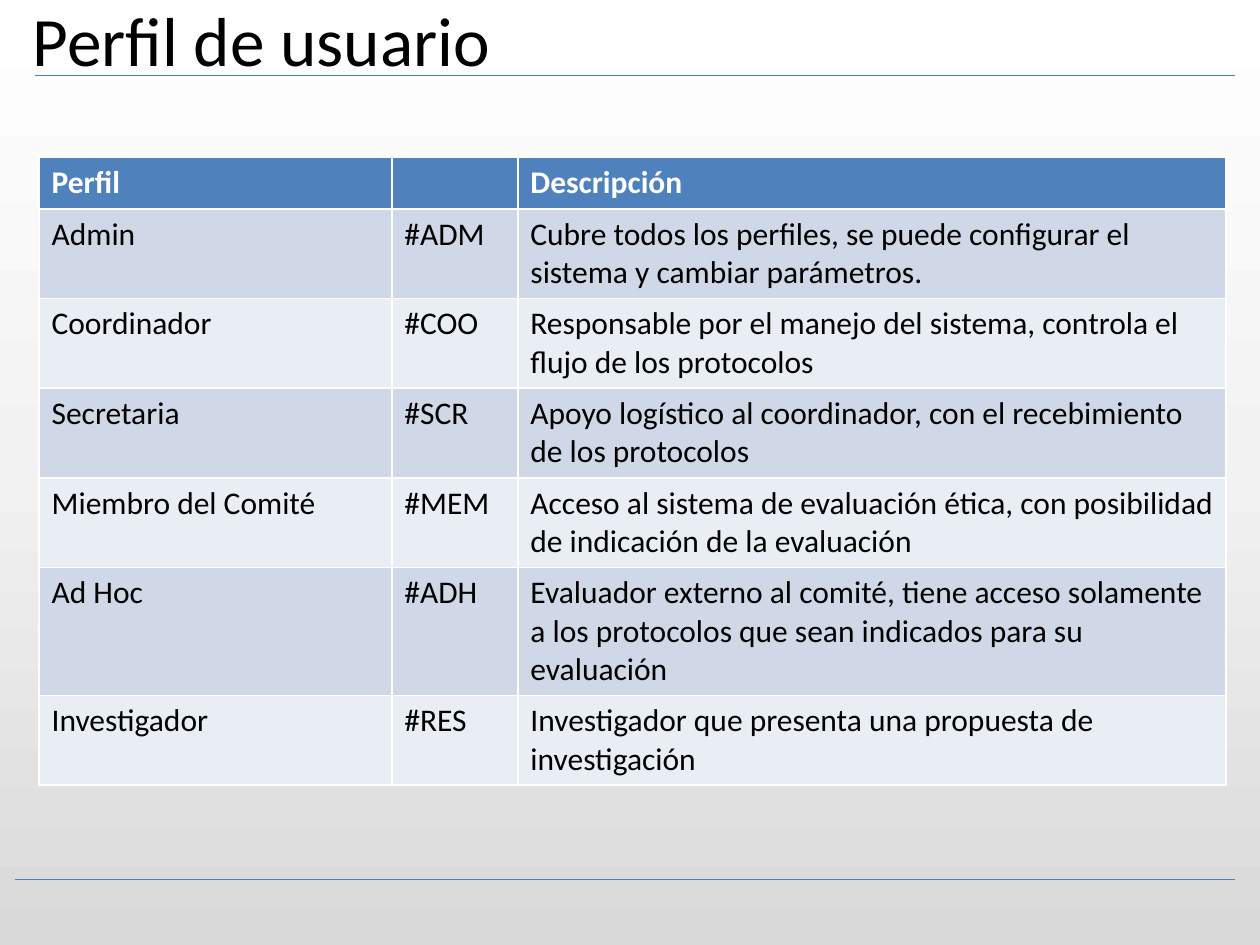
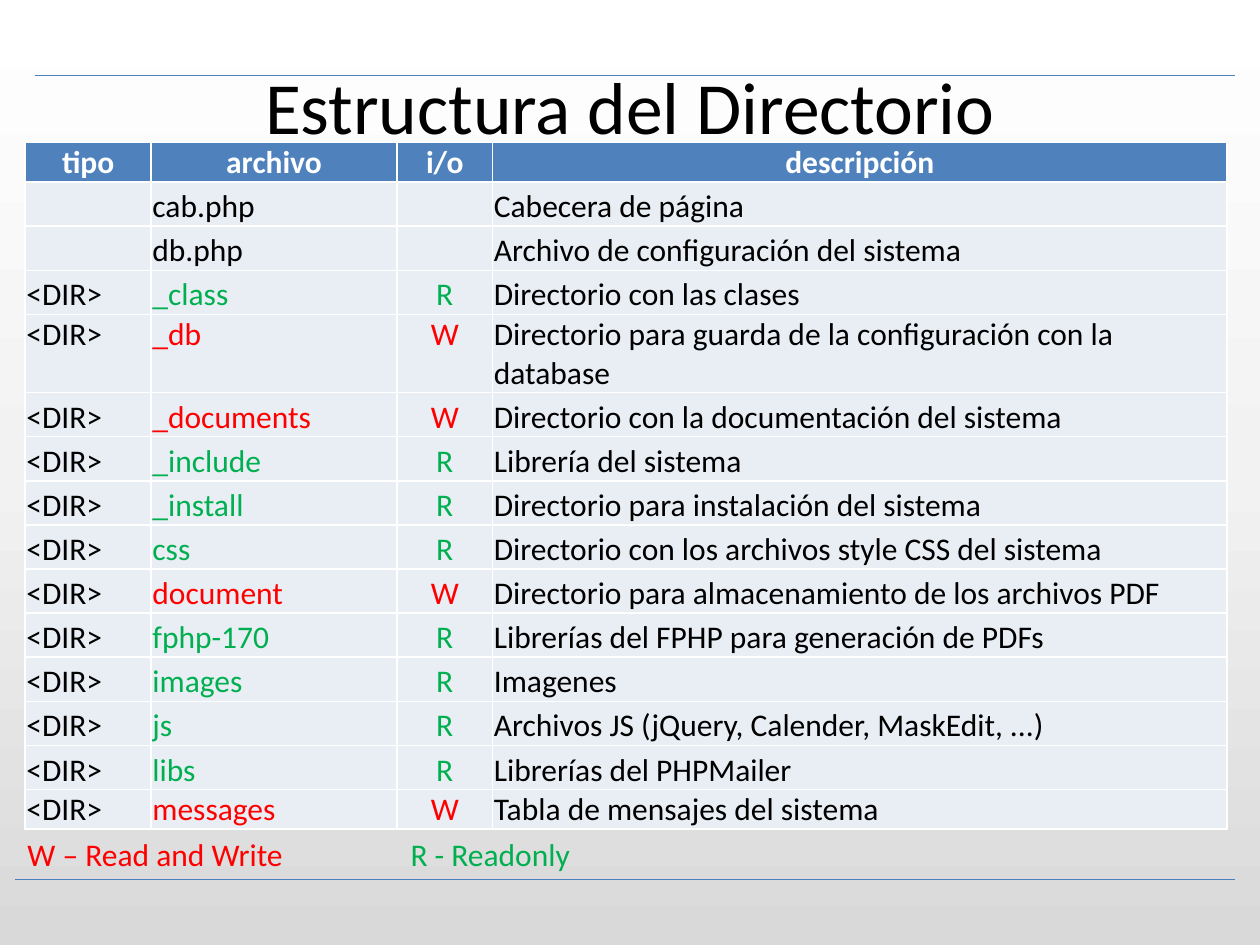
from copy import deepcopy

from lxml import etree
from pptx import Presentation
from pptx.dml.color import RGBColor
from pptx.enum.shapes import MSO_CONNECTOR
from pptx.enum.text import MSO_ANCHOR, MSO_AUTO_SIZE, PP_ALIGN
from pptx.oxml.ns import qn
from pptx.util import Inches, Pt

STRAIGHT = MSO_CONNECTOR.STRAIGHT
TOP, MIDDLE, BOTTOM = MSO_ANCHOR.TOP, MSO_ANCHOR.MIDDLE, MSO_ANCHOR.BOTTOM
LEFT, CENTER = PP_ALIGN.LEFT, PP_ALIGN.CENTER
NO_FIT, GROW = MSO_AUTO_SIZE.NONE, MSO_AUTO_SIZE.SHAPE_TO_FIT_TEXT

WIDTH, HEIGHT = Inches(10), Inches(7.5)
UNIT = WIDTH / 100
FONT = "Calibri"
BODY = 18
COLORS = {
    "text": "000000", "white": "FFFFFF", "head": "4F81BD",
    "band": "D0D8E8", "pale": "E9EDF4", "rule": "4B7EBC",
    "read": "00B050", "write": "FF0000",
}
SHADES = [(0, "FFFFFF"), (0.5, "F2F2F2"), (1, "D9D9D9")]
RULES = [(98, 2.8, 6), (1.2, 98, 69.8)]

ROLES = [
    ("Perfil", "", "Descripción"),
    ("Admin", "#ADM", "Cubre todos los perfiles, se puede configurar el sistema y cambiar parámetros."),
    ("Coordinador", "#COO", "Responsable por el manejo del sistema, controla el flujo de los protocolos"),
    ("Secretaria", "#SCR", "Apoyo logístico al coordinador, con el recebimiento de los protocolos"),
    ("Miembro del Comité", "#MEM", "Acceso al sistema de evaluación ética, con posibilidad de indicación de la evaluación"),
    ("Ad Hoc", "#ADH", "Evaluador externo al comité, tiene acceso solamente a los protocolos que sean indicados para su evaluación"),
    ("Investigador", "#RES", "Investigador que presenta una propuesta de investigación"),
]
HEADS = ("tipo", "archivo", "i/o", "descripción")
FILES = [
    ("cab.php", "", "Cabecera de página"),
    ("db.php", "", "Archivo de configuración del sistema"),
    ("_class", "R", "Directorio con las clases"),
    ("_db", "W", "Directorio para guarda de la configuración con la database"),
    ("_documents", "W", "Directorio con la documentación del sistema"),
    ("_include", "R", "Librería del sistema"),
    ("_install", "R", "Directorio para instalación del sistema"),
    ("css", "R", "Directorio con los archivos style CSS del sistema"),
    ("document", "W", "Directorio para almacenamiento de los archivos PDF"),
    ("fphp-170", "R", "Librerías del FPHP para generación de PDFs"),
    ("images", "R", "Imagenes"),
    ("js", "R", "Archivos JS (jQuery, Calender, MaskEdit, ...)"),
    ("libs", "R", "Librerías del PHPMailer"),
    ("messages", "W", "Tabla de mensajes del sistema"),
]
MODES = {"R": "read", "W": "write", "": "text"}
LONG = 55


def grid(*units):
    return [round(unit * UNIT) for unit in units]


def tint(name):
    return RGBColor.from_string(COLORS[name])


def add_run(para, text, color="text", size=BODY, bold=False):
    run = para.add_run()
    run.text = text
    font = run.font
    font.name, font.size, font.bold = FONT, Pt(size), bold
    font.color.rgb = tint(color)


def paint_back(master):
    fill = master.background.fill
    fill.gradient()
    stops = master.element.find(".//" + qn("a:gsLst"))
    stops.insert(1, deepcopy(stops[0]))
    for stop, (place, shade) in zip(fill.gradient_stops, SHADES):
        stop.position = place
        stop.color.rgb = RGBColor.from_string(shade)
    fill.gradient_angle = 270


def add_rules(master, slide):
    for index, (start, end, row) in enumerate(RULES):
        line = slide.shapes.add_connector(STRAIGHT, *grid(start, row, end, row))
        line.line.color.rgb = tint("rule")
        line.line.width = Pt(0.75)
        etree.SubElement(line.element.spPr, qn("a:effectLst"))
        line.element.find(".//" + qn("p:cNvPr")).set("id", str(50 + index))
        master.shapes.element.append(line.element)


def set_title(slide, text, place, size, align):
    title = slide.shapes.title
    title.left, title.top, title.width, title.height = grid(*place)
    frame = title.text_frame
    frame.auto_size = NO_FIT
    frame.vertical_anchor = MIDDLE
    para = frame.paragraphs[0]
    para.alignment = align
    add_run(para, text, size=size)


def fill_cell(cell, text, fill, color="text", bold=False, align=LEFT):
    cell.fill.solid()
    cell.fill.fore_color.rgb = tint(fill)
    para = cell.text_frame.paragraphs[0]
    para.alignment = align
    if text:
        add_run(para, text, color, bold=bold)


def add_grid(slide, place, cols, rows):
    box = grid(*place, sum(cols), sum(rows))
    table = slide.shapes.add_table(len(rows), len(cols), *box).table
    for col, width in zip(table.columns, grid(*cols)):
        col.width = width
    for row, height in zip(table.rows, grid(*rows)):
        row.height = height
    return table


def fill_head(table, heads, align):
    for cell, text in zip(table.rows[0].cells, heads):
        fill_cell(cell, text, "head", "white", True, align)


def add_roles(slide):
    table = add_grid(slide, (3.1, 12.5), (28, 10, 56.2), [4.1] * len(ROLES))
    fill_head(table, ROLES[0], LEFT)
    for index, role in enumerate(ROLES[1:], 1):
        fill = "band" if index % 2 else "pale"
        for cell, text in zip(table.rows[index].cells, role):
            fill_cell(cell, text, fill)


def pack(cell, anchor):
    cell.margin_left = cell.margin_top = cell.margin_right = Inches(0.01)
    cell.margin_bottom = 0
    cell.vertical_anchor = anchor


def add_files(slide):
    rows = [3.1] + [3.5] * (len(FILES) - 1) + [2.9]
    table = add_grid(slide, (2, 11.3), (10, 19.5, 7.6, 58.3), rows)
    table.horz_banding = False
    fill_head(table, HEADS, CENTER)
    for cell in table.rows[0].cells:
        pack(cell, BOTTOM)
    for index, (name, mode, note) in enumerate(FILES, 1):
        cells = list(table.rows[index].cells)
        color = MODES[mode]
        fill_cell(cells[0], "<DIR>" if mode else "", "pale")
        fill_cell(cells[1], name, "pale", color)
        fill_cell(cells[2], mode, "pale", color, align=CENTER)
        fill_cell(cells[3], note, "pale")
        for cell in cells:
            pack(cell, TOP if len(note) > LONG and cell is not cells[3] else BOTTOM)


def add_key(slide):
    frame = slide.shapes.add_textbox(*grid(1.2, 65.8, 75.6, 4)).text_frame
    frame.word_wrap = True
    frame.auto_size = GROW
    para = frame.paragraphs[0]
    add_run(para, "W – Read and Write\t", "write")
    add_run(para, "R - Readonly", "read")
    tabs = etree.SubElement(para._p.get_or_add_pPr(), qn("a:tabLst"))
    etree.SubElement(tabs, qn("a:tab"), pos=str(grid(30.4)[0]), algn="l")


def main():
    deck = Presentation()
    deck.slide_width, deck.slide_height = WIDTH, HEIGHT
    master, layout = deck.slide_master, deck.slide_layouts[5]
    paint_back(master)

    users = deck.slides.add_slide(layout)
    add_rules(master, users)
    set_title(users, "Perfil de usuario", (1.6, 0, 90, 6.2), 39.6, LEFT)
    add_roles(users)

    tree = deck.slides.add_slide(layout)
    set_title(tree, "Estructura del Directorio", (5, 4.4, 90, 7.9), 42, CENTER)
    add_files(tree)
    add_key(tree)

    deck.save("out.pptx")


if __name__ == "__main__":
    main()
